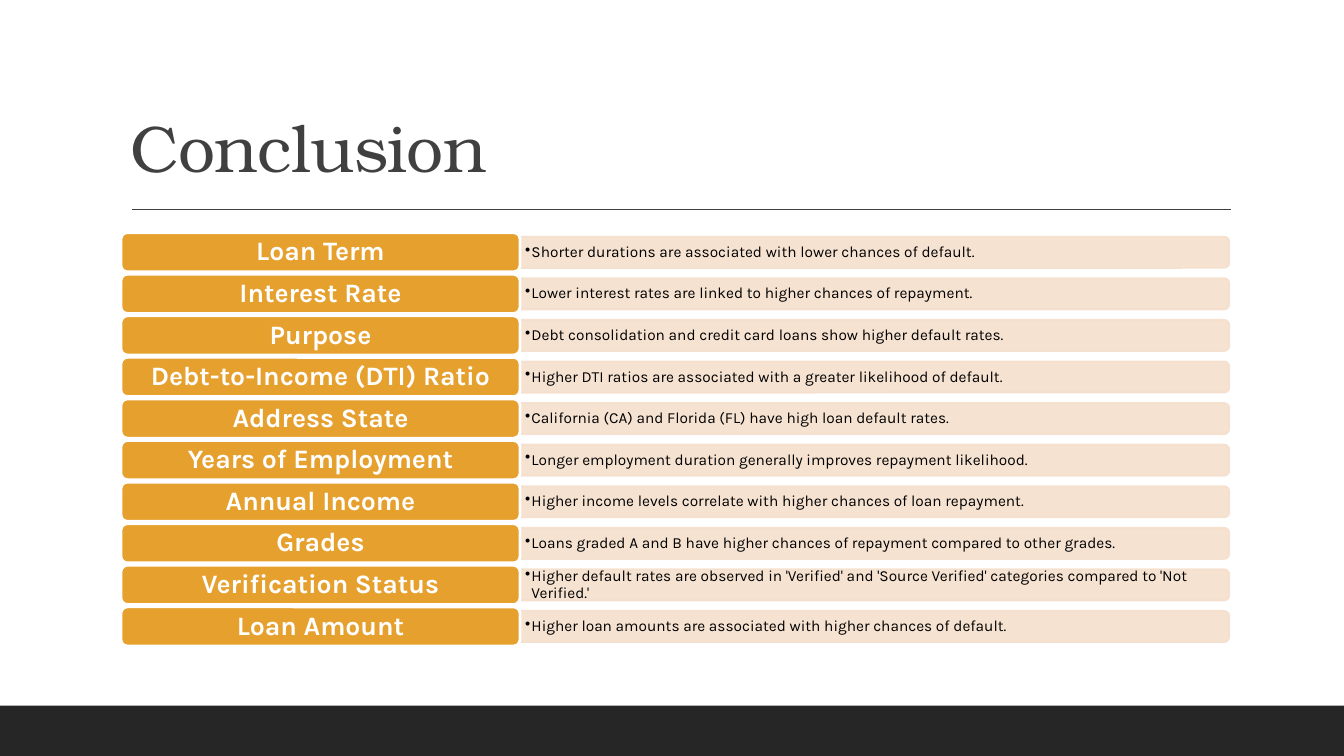
"""Build the conclusion slide: ten labelled loan default findings."""
from typing import NamedTuple

from lxml import etree
from pptx import Presentation
from pptx.dml.color import RGBColor
from pptx.enum.shapes import MSO_CONNECTOR, MSO_SHAPE
from pptx.enum.text import MSO_ANCHOR, PP_ALIGN
from pptx.oxml.ns import qn
from pptx.util import Pt

RECT = MSO_SHAPE.RECTANGLE
ROUND = MSO_SHAPE.ROUNDED_RECTANGLE
TAB = MSO_SHAPE.ROUND_2_SAME_RECTANGLE
STRAIGHT = MSO_CONNECTOR.STRAIGHT
MIDDLE, BOTTOM = MSO_ANCHOR.MIDDLE, MSO_ANCHOR.BOTTOM
LEFT, CENTER = PP_ALIGN.LEFT, PP_ALIGN.CENTER

WHITE = RGBColor(0xFF, 0xFF, 0xFF)
BLACK = RGBColor(0x00, 0x00, 0x00)
GREY = RGBColor(0x40, 0x40, 0x40)
DARK = RGBColor(0x26, 0x26, 0x26)
GOLD = RGBColor(0xE6, 0xA0, 0x2E)
PEACH = RGBColor(0xF5, 0xDF, 0xCD)

FIRST, STEP = 180.2, 29.7
BULLET = 4.5


class Box(NamedTuple):
    left: float
    top: float
    width: float
    height: float


class Style(NamedTuple):
    font: str
    size: float
    color: RGBColor
    bold: bool
    align: PP_ALIGN
    anchor: MSO_ANCHOR
    side: float
    edge: float


class Row(NamedTuple):
    label: str
    note: str


TITLE = Style("TeX Gyre Bonum", 47, GREY, False, LEFT, BOTTOM, 7.2, 3.6)
LABEL = Style("Karla", 19, WHITE, True, CENTER, MIDDLE, 6, 3)
NOTE = Style("Karla", 11, BLACK, False, LEFT, MIDDLE, 3.6, 1.4)

ROWS = [
    Row("Loan Term", "Shorter durations are associated with lower chances of default."),
    Row("Interest Rate", "Lower interest rates are linked to higher chances of repayment."),
    Row("Purpose", "Debt consolidation and credit card loans show higher default rates."),
    Row("Debt-to-Income (DTI) Ratio",
        "Higher DTI ratios are associated with a greater likelihood of default."),
    Row("Address State", "California (CA) and Florida (FL) have high loan default rates."),
    Row("Years of Employment",
        "Longer employment duration generally improves repayment likelihood."),
    Row("Annual Income",
        "Higher income levels correlate with higher chances of loan repayment."),
    Row("Grades",
        "Loans graded A and B have higher chances of repayment compared to other grades."),
    Row("Verification Status",
        "Higher default rates are observed in 'Verified' and 'Source Verified' "
        "categories compared to 'Not Verified.'"),
    Row("Loan Amount", "Higher loan amounts are associated with higher chances of default."),
]


def points(box: Box) -> list[Pt]:
    return [Pt(value) for value in box]


def write(shape, text: str, style: Style):
    frame = shape.text_frame
    frame.word_wrap = True
    frame.vertical_anchor = style.anchor
    frame.margin_left = frame.margin_right = Pt(style.side)
    frame.margin_top = frame.margin_bottom = Pt(style.edge)
    para = frame.paragraphs[0]
    para.alignment = style.align
    para.line_spacing = 0.9
    run = para.add_run()
    run.text = text
    font = run.font
    font.name, font.size, font.bold = style.font, Pt(style.size), style.bold
    font.color.rgb = style.color
    return para


def draw(slide, kind: MSO_SHAPE, box: Box, fill: RGBColor):
    shape = slide.shapes.add_shape(kind, *points(box))
    shape.shadow.inherit = False
    shape.fill.solid()
    shape.fill.fore_color.rgb = fill
    shape.line.fill.background()
    return shape


def edge(shape, color: RGBColor, width: float) -> None:
    shape.line.color.rgb = color
    shape.line.width = Pt(width)


def add_head(slide) -> None:
    draw(slide, RECT, Box(0, 504, 960, 36), DARK)
    rule = slide.shapes.add_connector(STRAIGHT, *points(Box(94.3, 149.5, 879.1, 149.5)))
    edge(rule, GREY, 1)
    etree.SubElement(rule._element.spPr, qn("a:effectLst"))
    title = slide.shapes.add_textbox(*points(Box(86.4, 22.3, 792, 114.5)))
    para = write(title, "Conclusion", TITLE)
    para.runs[0].font._element.set("spc", "-50")


def add_row(slide, row: Row, mid: float) -> None:
    width, height = 22.3, 506.9
    bar = draw(slide, TAB, Box(613.5, mid - height / 2, width, height), PEACH)
    bar.rotation = 90
    edge(bar, PEACH, 1.25)
    for color in bar._element.spPr.iter(qn("a:srgbClr")):
        etree.SubElement(color, qn("a:alpha"), val="90000")

    note = slide.shapes.add_textbox(*points(Box(371.5, mid - 10.1, 505.4, 20.2)))
    props = write(note, row.note, NOTE)._p.get_or_add_pPr()
    props.set("marL", str(Pt(BULLET)))
    props.set("indent", str(Pt(-BULLET)))
    etree.SubElement(props, qn("a:buChar"), char="•")

    label = draw(slide, ROUND, Box(86.4, mid - 14, 285.1, 28), GOLD)
    edge(label, WHITE, 2)
    write(label, row.label, LABEL)


def main() -> None:
    deck = Presentation()
    deck.slide_width, deck.slide_height = Pt(960), Pt(540)
    slide = deck.slides.add_slide(deck.slide_layouts[6])
    add_head(slide)
    for index, row in enumerate(ROWS):
        add_row(slide, row, FIRST + index * STEP)
    deck.save("out.pptx")


if __name__ == "__main__":
    main()
